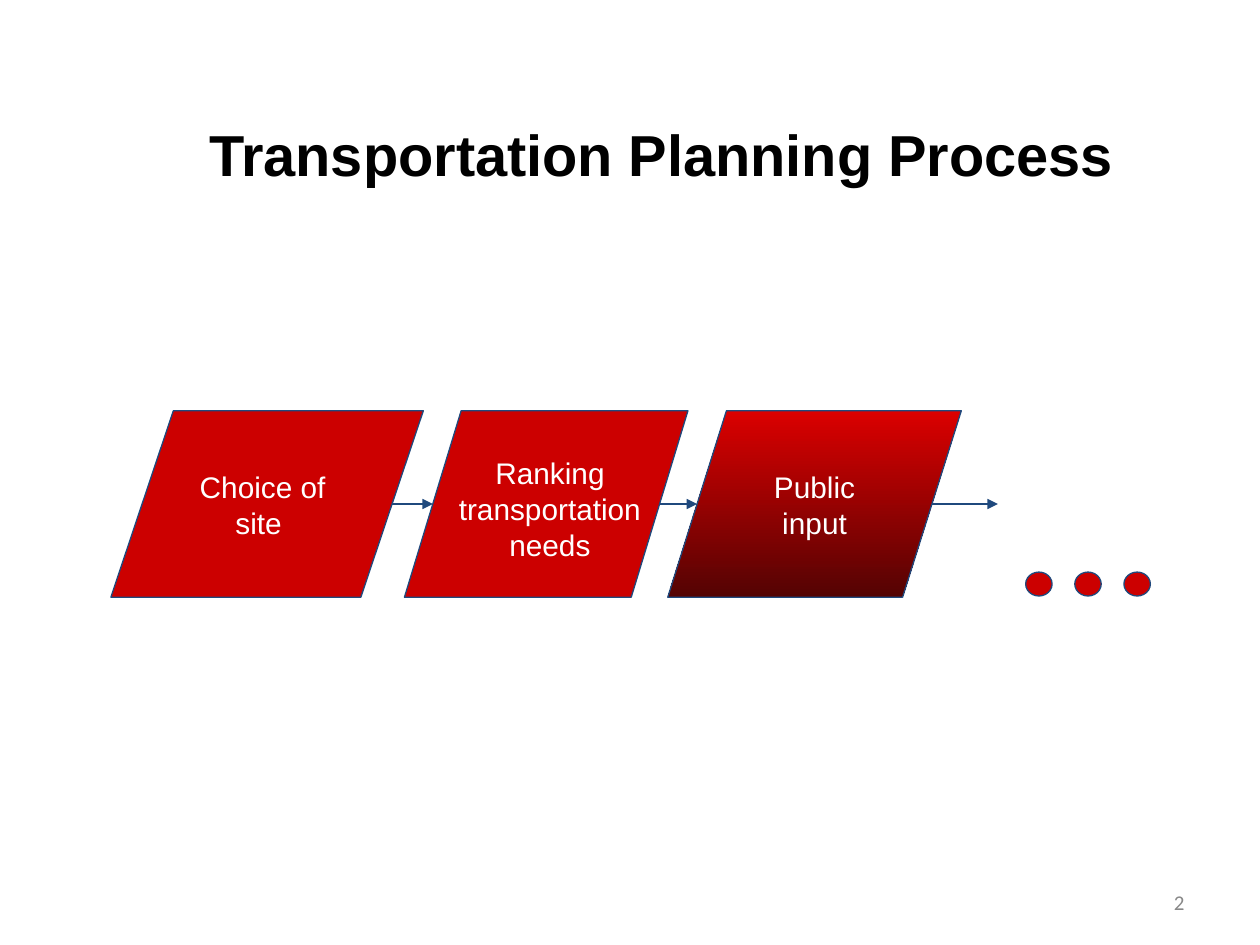
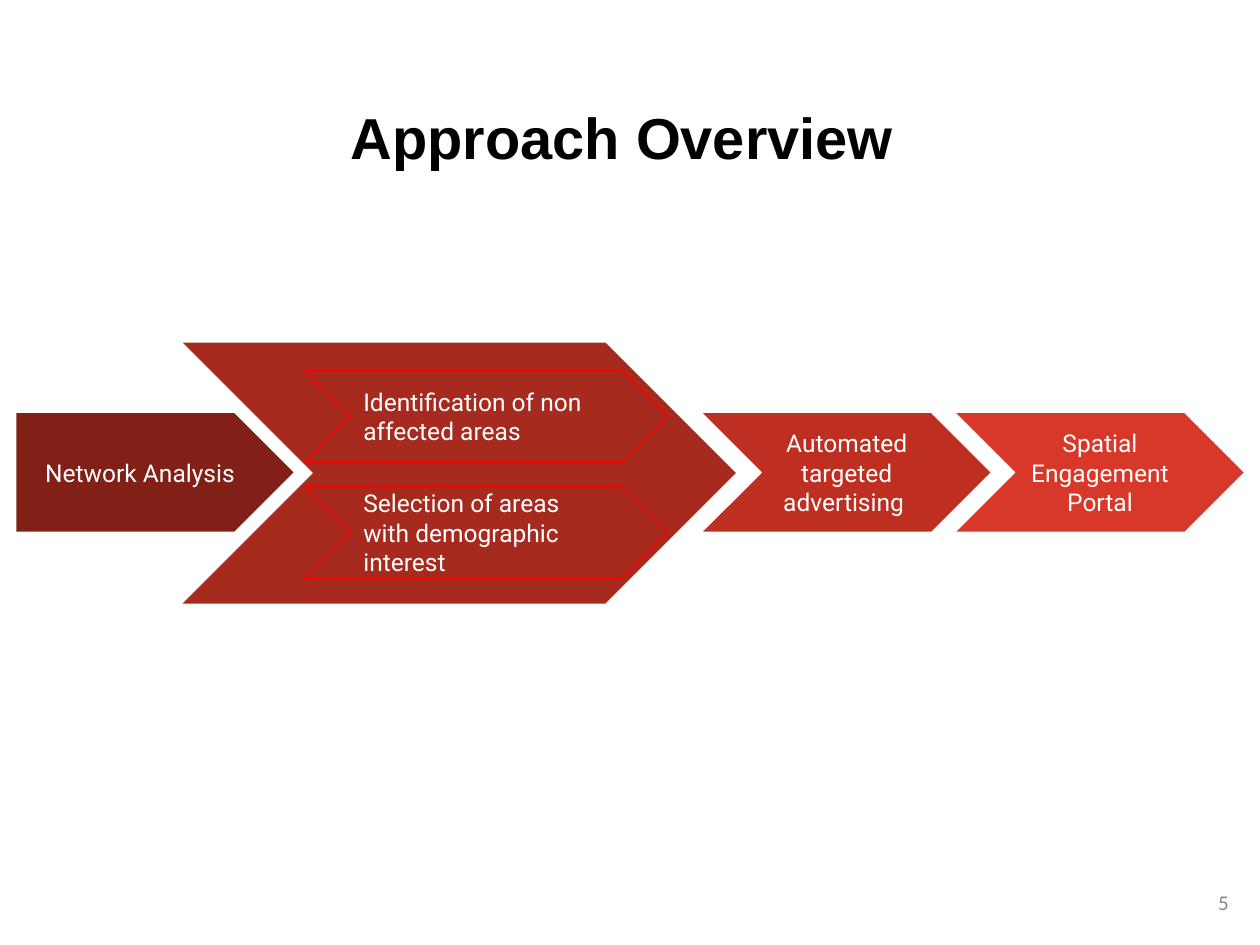
from dataclasses import dataclass

from lxml import etree
from pptx import Presentation
from pptx.dml.color import RGBColor
from pptx.enum.shapes import MSO_CONNECTOR, MSO_SHAPE
from pptx.enum.text import MSO_ANCHOR, PP_ALIGN
from pptx.oxml.ns import qn
from pptx.util import Inches, Pt

LEFT, CENTER, RIGHT = PP_ALIGN.LEFT, PP_ALIGN.CENTER, PP_ALIGN.RIGHT
TOP, MIDDLE = MSO_ANCHOR.TOP, MSO_ANCHOR.MIDDLE
PARALLELOGRAM = MSO_SHAPE.FLOWCHART_DATA
CHEVRON, PENTAGON, OVAL = MSO_SHAPE.CHEVRON, MSO_SHAPE.PENTAGON, MSO_SHAPE.OVAL
STRAIGHT = MSO_CONNECTOR.STRAIGHT


@dataclass(frozen=True)
class TextStyle:
    font: str
    size: int
    color: str
    bold: bool = False


@dataclass(frozen=True)
class Theme:
    # Colours
    red: str = "CC0000"
    gradient: tuple = ("DB0000", "540303")
    navy: str = "1F497D"
    outline_red: str = "FF0000"
    start_red: str = "802017"
    analysis_red: str = "A72A1E"
    advertising_red: str = "BE2F22"
    portal_red: str = "D83829"
    # Line widths
    thin: float = 0.75
    arrow: float = 1.5
    # Text
    title: TextStyle = TextStyle("Arial", 33, "000000", True)
    step: TextStyle = TextStyle("Arial", 17, "FFFFFF")
    stage: TextStyle = TextStyle("Roboto", 14, "FFFFFF")
    number: TextStyle = TextStyle("Calibri", 12, "888888")


THEME = Theme()


def rgb(color):
    return RGBColor.from_string(color)


def write_text(shape, text, style, alignment=CENTER, anchor=TOP, inset=0.1):
    frame = shape.text_frame
    frame.word_wrap = True
    frame.vertical_anchor = anchor
    frame.margin_left = frame.margin_right = Inches(0.1)
    frame.margin_top = frame.margin_bottom = Inches(inset)
    paragraph = frame.paragraphs[0]
    paragraph.text = text
    paragraph.alignment = alignment
    font = paragraph.font
    font.name, font.size, font.bold = style.font, Pt(style.size), style.bold
    font.color.rgb = rgb(style.color)


def add_text(slide, left, top, width, height, text, style, **options):
    box = slide.shapes.add_textbox(Inches(left), Inches(top), Inches(width), Inches(height))
    write_text(box, text, style, **options)


def add_filled_shape(slide, kind, left, top, width, height, fill, line=None):
    """Draw a preset shape; a pair of fill colours runs from top to bottom."""
    shape = slide.shapes.add_shape(kind, Inches(left), Inches(top), Inches(width), Inches(height))
    shape.shadow.inherit = False
    if isinstance(fill, tuple):
        shape.fill.gradient()
        shape.fill.gradient_angle = 270
        for stop, color in zip(shape.fill.gradient_stops, fill):
            stop.color.rgb = rgb(color)
    else:
        shape.fill.solid()
        shape.fill.fore_color.rgb = rgb(fill)
    if line:
        shape.line.color.rgb = rgb(line)
        shape.line.width = Pt(THEME.thin)
    else:
        shape.line.fill.background()
    return shape


def add_arrow(slide, start, end, y):
    arrow = slide.shapes.add_connector(STRAIGHT, Inches(start), Inches(y), Inches(end), Inches(y))
    arrow.line.color.rgb = rgb(THEME.navy)
    arrow.line.width = Pt(THEME.arrow)
    etree.SubElement(arrow.line._get_or_add_ln(), qn("a:tailEnd"), type="triangle")
    etree.SubElement(arrow._element.spPr, qn("a:effectLst"))


def add_stage(slide, kind, left, top, width, height, fill, text, line=None, alignment=CENTER):
    stage = add_filled_shape(slide, kind, left, top, width, height, fill, line)
    write_text(stage, text, THEME.stage, alignment, MIDDLE)


def add_base_slide(presentation, title, title_left, title_top, title_width, number, number_left):
    slide = presentation.slides.add_slide(presentation.slide_layouts[6])
    add_text(slide, number_left, 6.96, 2.33, 0.4, number, THEME.number,
             alignment=RIGHT, anchor=MIDDLE, inset=0.05)
    add_text(slide, title_left, title_top, title_width, 0.75, title, THEME.title)
    return slide


def build_process_slide(presentation):
    slide = add_base_slide(presentation, "Transportation Planning Process ",
                           1.35, 0.84, 7.93, "2", 7.17)
    top, height = 3.26, 1.48
    # left, width, fill, then label left, top, width and text
    steps = [
        (0.88, 2.48, THEME.red, 1.43, 3.62, 1.31, "Choice of site "),
        (3.21, 2.25, THEME.red, 3.53, 3.51, 1.67, "Ranking transportation needs"),
        (5.30, 2.33, THEME.gradient, 5.81, 3.62, 1.31, "Public input"),
    ]
    for left, width, fill, label_left, label_top, label_width, label in steps:
        add_filled_shape(slide, PARALLELOGRAM, left, top, width, height, fill, THEME.navy)
        add_text(slide, label_left, label_top, label_width, 0.75, label, THEME.step)

    # Arrows join the midpoints of the slanted sides
    starts = [left + 0.9 * width for left, width, *_ in steps]
    ends = [left + 0.1 * width for left, width, *_ in steps[1:]] + [7.92]
    for start, end in zip(starts, ends):
        add_arrow(slide, start, end, top + height / 2)

    # Dots for the steps that follow
    for index in range(3):
        add_filled_shape(slide, OVAL, 8.14 + 0.39 * index, 4.54, 0.21, 0.19,
                         THEME.red, THEME.navy)


def build_approach_slide(presentation):
    slide = add_base_slide(presentation, "Approach Overview ",
                           1.87, 0.71, 6.26, "5", 7.52)
    # Large chevron behind the two analysis tasks
    add_filled_shape(slide, CHEVRON, 1.45, 2.72, 4.39, 2.07, THEME.analysis_red)

    # Main stages
    stages = [
        (CHEVRON, 7.59, 2.28, THEME.portal_red, "Spatial Engagement Portal"),
        (CHEVRON, 5.58, 2.28, THEME.advertising_red, "Automated targeted advertising "),
        (PENTAGON, 0.13, 2.20, THEME.start_red, "Network Analysis"),
    ]
    for kind, left, width, fill, text in stages:
        add_stage(slide, kind, left, 3.28, width, 0.94, fill, text)

    # Analysis tasks
    tasks = ["Identification of non affected areas",
             "Selection of areas with demographic interest"]
    for index, text in enumerate(tasks):
        add_stage(slide, CHEVRON, 2.42, 2.94 + 0.92 * index, 2.88, 0.73,
                  THEME.analysis_red, text, THEME.outline_red, LEFT)


def main():
    presentation = Presentation()
    presentation.slide_width = Inches(10)
    presentation.slide_height = Inches(7.5)
    build_process_slide(presentation)
    build_approach_slide(presentation)
    presentation.save("out.pptx")


if __name__ == "__main__":
    main()
